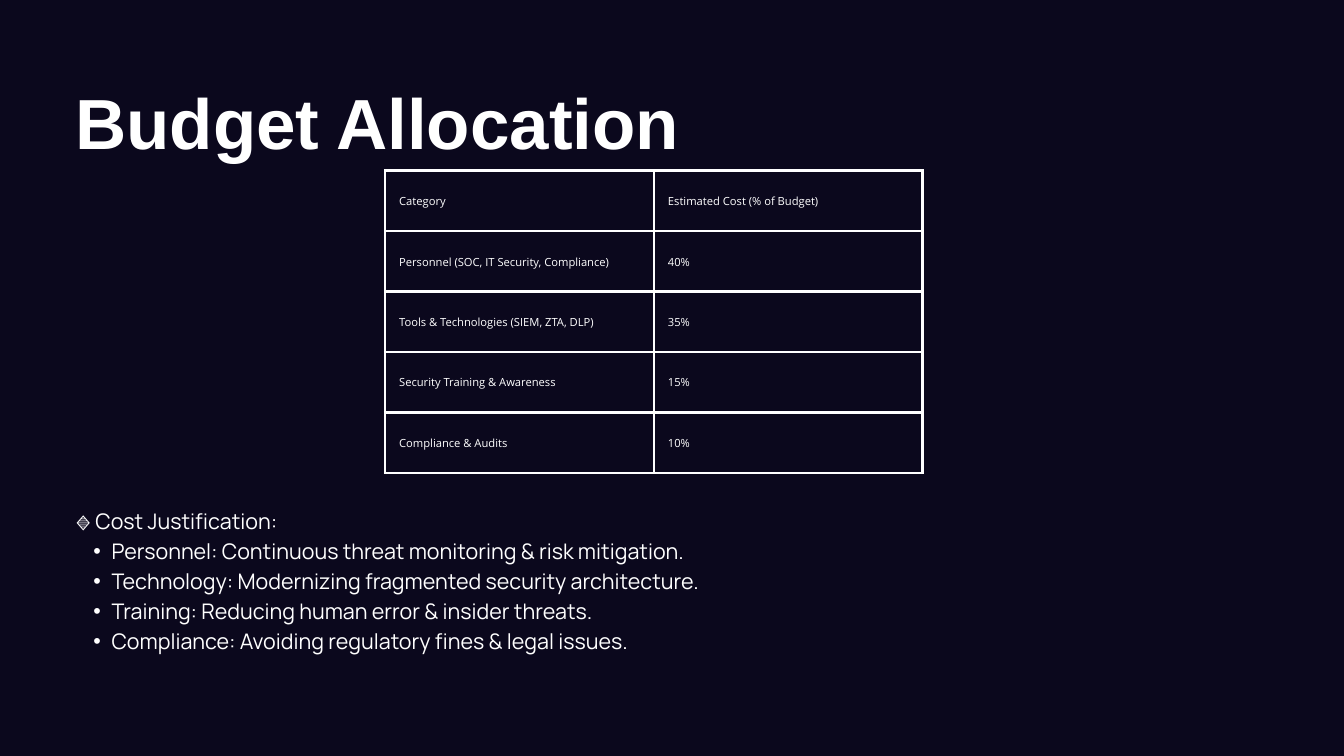
from lxml import etree
from pptx import Presentation
from pptx.dml.color import RGBColor
from pptx.enum.text import MSO_ANCHOR, MSO_AUTO_SIZE
from pptx.oxml.ns import qn
from pptx.util import Emu, Pt

MIDDLE = MSO_ANCHOR.MIDDLE
FIT_SHAPE = MSO_AUTO_SIZE.SHAPE_TO_FIT_TEXT
EMU_PER_PX = 9144
BLANK_LAYOUT = 6
WHITE = "FFFFFF"
NAVY = "0B081D"
LINE_FACTOR = 1.4

BUDGET = [
    ("Category", "Estimated Cost (% of Budget)"),
    ("Personnel (SOC, IT Security, Compliance)", "40%"),
    ("Tools & Technologies (SIEM, ZTA, DLP)", "35%"),
    ("Security Training & Awareness", "15%"),
    ("Compliance & Audits", "10%"),
]
JUSTIFICATIONS = [
    "Personnel: Continuous threat monitoring & risk mitigation.",
    "Technology: Modernizing fragmented security architecture.",
    "Training: Reducing human error & insider threats.",
    "Compliance: Avoiding regulatory fines & legal issues.",
]


def px(length):
    """Turn px into EMU, at 100 px to the inch."""
    return Emu(length * EMU_PER_PX)


def color(hex_string):
    """Turn a hex string into a colour."""
    return RGBColor.from_string(hex_string)


def add_run(paragraph, text, font_name, size, bold=False):
    """Add a white run and set the paragraph's line spacing from its size."""
    paragraph.line_spacing = Pt(round(size * LINE_FACTOR, 1))
    run = paragraph.add_run()
    run.text = text
    run.font.name = font_name
    run.font.size = Pt(size)
    run.font.bold = bold
    run.font.color.rgb = color(WHITE)


def add_bullet(paragraph, indent, hanging):
    """Give a paragraph a hanging round bullet."""
    paragraph.level = 1
    properties = paragraph._p.get_or_add_pPr()
    properties.set("marL", str(px(indent)))
    properties.set("indent", str(px(-hanging)))
    etree.SubElement(properties, qn("a:buFont")).set("typeface", "Arial")
    etree.SubElement(properties, qn("a:buChar")).set("char", "•")


def add_borders(cell, hex_string, width):
    """Draw a solid line on all four sides of a cell."""
    properties = cell._tc.get_or_add_tcPr()
    for position, side in enumerate(("lnL", "lnR", "lnT", "lnB")):
        line = etree.Element(qn(f"a:{side}"), w=str(Pt(width)))
        fill = etree.SubElement(line, qn("a:solidFill"))
        etree.SubElement(fill, qn("a:srgbClr")).set("val", hex_string)
        properties.insert(position, line)


def add_text_frame(slide, left, top, width, height):
    """Add a wrapping text box without margins and return its text frame."""
    box = slide.shapes.add_textbox(px(left), px(top), px(width), px(height))
    frame = box.text_frame
    frame.word_wrap = True
    frame.auto_size = FIT_SHAPE
    frame.margin_left = frame.margin_right = 0
    frame.margin_top = frame.margin_bottom = 0
    return frame


def add_title(slide, left, top, width, height):
    """Place the slide title."""
    frame = add_text_frame(slide, left, top, width, height)
    add_run(frame.paragraphs[0], "Budget Allocation", "Arial", 76, bold=True)


def add_budget_table(slide, left, top, width, height):
    """Place the budget table with equal rows and columns."""
    table = slide.shapes.add_table(
        len(BUDGET), len(BUDGET[0]), px(left), px(top), px(width), px(height)
    ).table
    table.first_row = table.horz_banding = False
    for row, values in zip(table.rows, BUDGET):
        for cell, value in zip(row.cells, values):
            cell.fill.background()
            cell.vertical_anchor = MIDDLE
            cell.margin_left = cell.margin_right = px(21)
            cell.margin_top = cell.margin_bottom = px(21)
            add_borders(cell, WHITE, 3)
            add_run(cell.text_frame.paragraphs[0], value, "Open Sans", 12)


def add_justification(slide, left, top, width, height):
    """Place the cost justification heading and its bullets."""
    frame = add_text_frame(slide, left, top, width, height)
    add_run(frame.paragraphs[0], "🔹 Cost Justification:", "Manrope", 23)
    for text in JUSTIFICATIONS:
        paragraph = frame.add_paragraph()
        add_bullet(paragraph, 54, 27)
        add_run(paragraph, text, "Manrope", 23)


def main():
    """Build the budget slide and save it."""
    presentation = Presentation()
    presentation.slide_width = px(2000)
    presentation.slide_height = px(1125)
    slide = presentation.slides.add_slide(presentation.slide_layouts[BLANK_LAYOUT])
    background = slide.background.fill
    background.solid()
    background.fore_color.rgb = color(NAVY)
    add_budget_table(slide, 573, 254, 800, 450)
    add_title(slide, 112, 96, 1852, 142)
    add_justification(slide, 112, 750, 1775, 262)
    presentation.save("out.pptx")


if __name__ == "__main__":
    main()
